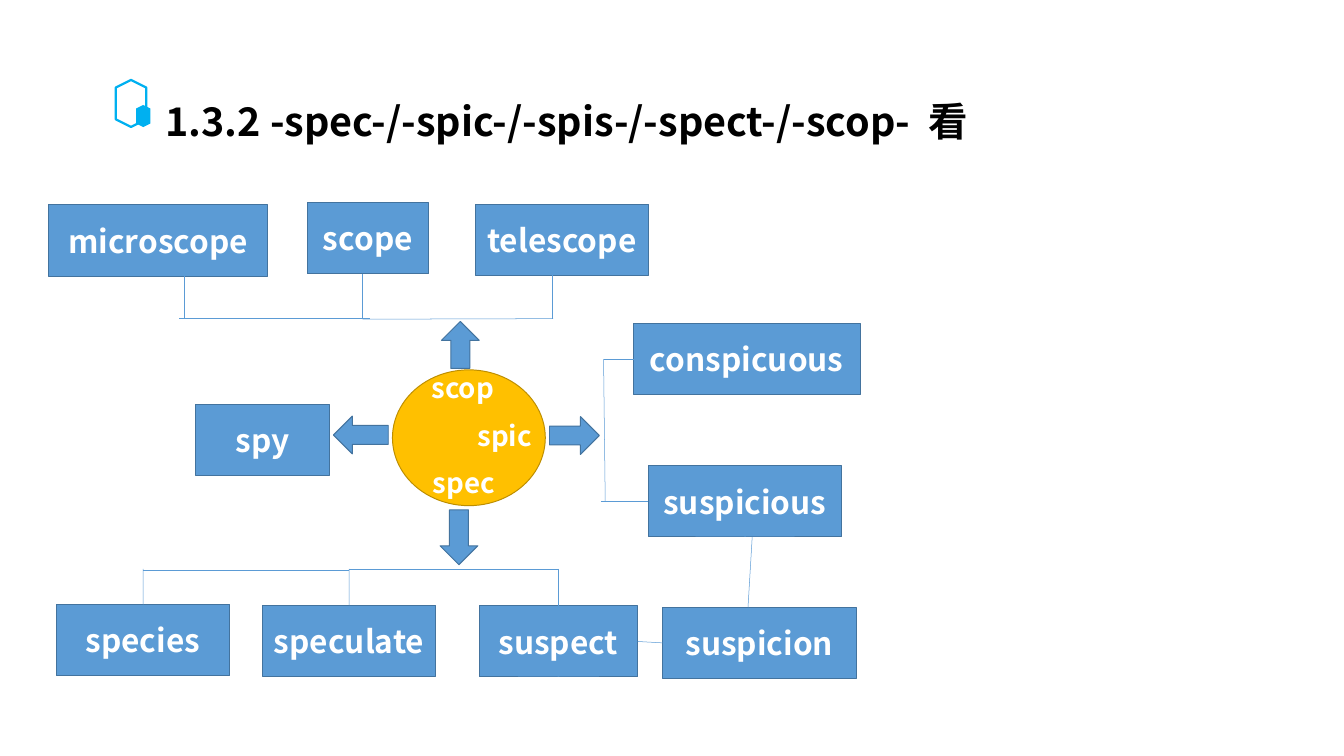
"""Build the word map slide for the root meaning "see"."""
from lxml.etree import SubElement
from pptx import Presentation
from pptx.dml.color import RGBColor
from pptx.enum.shapes import MSO_CONNECTOR, MSO_SHAPE
from pptx.enum.text import MSO_ANCHOR, MSO_AUTO_SIZE, PP_ALIGN
from pptx.oxml.ns import qn
from pptx.util import Cm, Pt

FONT = "Noto Sans CJK SC"
HEX = {"blue": "5B9BD5", "navy": "43739E", "gold": "FFC000", "brown": "BD8E00",
       "cyan": "00B0F0", "white": "FFFFFF", "black": "000000"}
RGB = {name: RGBColor.from_string(code) for name, code in HEX.items()}


def write(para, text, size, color):
    run = para.add_run()
    run.text = text
    run.font.name = FONT
    run.font.size = Pt(size)
    run.font.bold = True
    run.font.color.rgb = RGB[color]
    SubElement(run.font._element, qn("a:ea")).set("typeface", FONT)
    return run


def link(x1, y1, x2, y2):
    line = slide.shapes.add_connector(MSO_CONNECTOR.STRAIGHT, Cm(x1), Cm(y1), Cm(x2), Cm(y2))
    line.line.color.rgb = RGB["blue"]
    line.line.width = Pt(0.5)
    SubElement(line._element.spPr, qn("a:effectLst"))
    return line


deck = Presentation()
deck.slide_width, deck.slide_height = Cm(48.01), Cm(27)
slide = deck.slides.add_slide(deck.slide_layouts[5])

title = slide.shapes.title
title.left, title.top, title.width, title.height = Cm(5.66), Cm(3.35), Cm(31.01), Cm(1.96)
frame = title.text_frame
frame.word_wrap = True
frame.auto_size = MSO_AUTO_SIZE.SHAPE_TO_FIT_TEXT
frame.vertical_anchor = MSO_ANCHOR.TOP
para = frame.paragraphs[0]
para.alignment = PP_ALIGN.LEFT
write(para, "1.3.2 -spec-/-spic-/-spis-/-spect-/-scop-", 40, "black")
gap = write(para, " ", 40, "black")
gap.font._element.set("spc", "900")
write(para, "看", 40, "black")

for left, top, wide, high, fill, edge in [
    (3.84, 3.15, 1.68, 1.09, None, 2.25),
    (4.72, 3.89, 0.79, 0.51, "cyan", 0),
]:
    cell = slide.shapes.add_shape(MSO_SHAPE.HEXAGON, Cm(left), Cm(top), Cm(wide), Cm(high))
    cell.rotation = 90
    cell.shadow.inherit = False
    if fill:
        cell.fill.solid()
        cell.fill.fore_color.rgb = RGB[fill]
        cell.line.fill.background()
    else:
        cell.fill.background()
        cell.line.color.rgb = RGB["cyan"]
        cell.line.width = Pt(edge)

words = [
    ("microscope", 1.75, 7.32, 7.8), ("scope", 10.97, 7.24, 4.34),
    ("telescope", 16.97, 7.29, 6.2), ("spy", 6.99, 14.43, 4.78),
    ("conspicuous", 22.63, 11.56, 8.1), ("suspicious", 23.16, 16.64, 6.91),
    ("species", 2.01, 21.59, 6.2), ("speculate", 9.37, 21.62, 6.2),
    ("suspect", 17.12, 21.64, 5.66), ("suspicion", 23.67, 21.69, 6.91),
]
forms = [(MSO_SHAPE.RECTANGLE, left, top, wide, 2.54, "blue", "navy", word)
         for word, left, top, wide in words]
forms += [
    (MSO_SHAPE.FLOWCHART_CONNECTOR, 14.02, 13.21, 5.46, 4.85, "gold", "brown", ""),
    (MSO_SHAPE.UP_ARROW, 15.77, 11.48, 1.35, 1.68, "blue", "navy", ""),
    (MSO_SHAPE.DOWN_ARROW, 15.72, 18.21, 1.35, 1.96, "blue", "navy", ""),
    (MSO_SHAPE.LEFT_ARROW, 11.91, 14.86, 1.96, 1.35, "blue", "navy", ""),
    (MSO_SHAPE.RIGHT_ARROW, 19.63, 14.88, 1.78, 1.35, "blue", "navy", ""),
]
boxes = {}
for kind, left, top, wide, high, fill, edge, word in forms:
    form = slide.shapes.add_shape(kind, Cm(left), Cm(top), Cm(wide), Cm(high))
    form.shadow.inherit = False
    form.fill.solid()
    form.fill.fore_color.rgb = RGB[fill]
    form.line.color.rgb = RGB[edge]
    form.line.width = Pt(1)
    if word:
        boxes[word] = form
        form.text_frame.vertical_anchor = MSO_ANCHOR.MIDDLE
        para = form.text_frame.paragraphs[0]
        para.alignment = PP_ALIGN.CENTER
        write(para, word, 32, "white")

for root, left, top in [("scop", 15.16, 13.13), ("spic", 16.81, 14.83), ("spec", 15.21, 16.51)]:
    label = slide.shapes.add_textbox(Cm(left), Cm(top), Cm(3.53), Cm(1.45))
    label.text_frame.word_wrap = True
    label.text_frame.auto_size = MSO_AUTO_SIZE.SHAPE_TO_FIT_TEXT
    write(label.text_frame.paragraphs[0], root, 28, "white")

for ends in [
    (6.4, 11.38, 13.21, 11.38), (12.95, 11.4, 19.76, 11.38),
    (6.58, 11.38, 6.58, 9.86), (12.95, 11.4, 12.95, 9.78), (19.74, 11.38, 19.74, 9.83),
    (21.56, 12.83, 21.62, 17.91), (26.87, 19.18, 26.72, 21.69),
    (5.11, 20.37, 12.47, 20.37), (12.47, 20.32, 19.95, 20.32),
]:
    link(*ends)

for word, x1, y1, x2, y2, side in [
    ("conspicuous", 21.56, 12.83, 22.63, 12.83, 1),
    ("suspicious", 21.46, 17.91, 23.16, 17.91, 1),
    ("species", 5.11, 20.32, 5.11, 21.59, 0),
    ("speculate", 12.47, 20.32, 12.47, 21.62, 0),
    ("suspect", 19.95, 20.32, 19.95, 21.64, 0),
]:
    link(x1, y1, x2, y2).end_connect(boxes[word], side)

bridge = link(22.78, 22.91, 23.67, 22.96)
bridge.begin_connect(boxes["suspect"], 3)
bridge.end_connect(boxes["suspicion"], 1)

deck.save("out.pptx")
